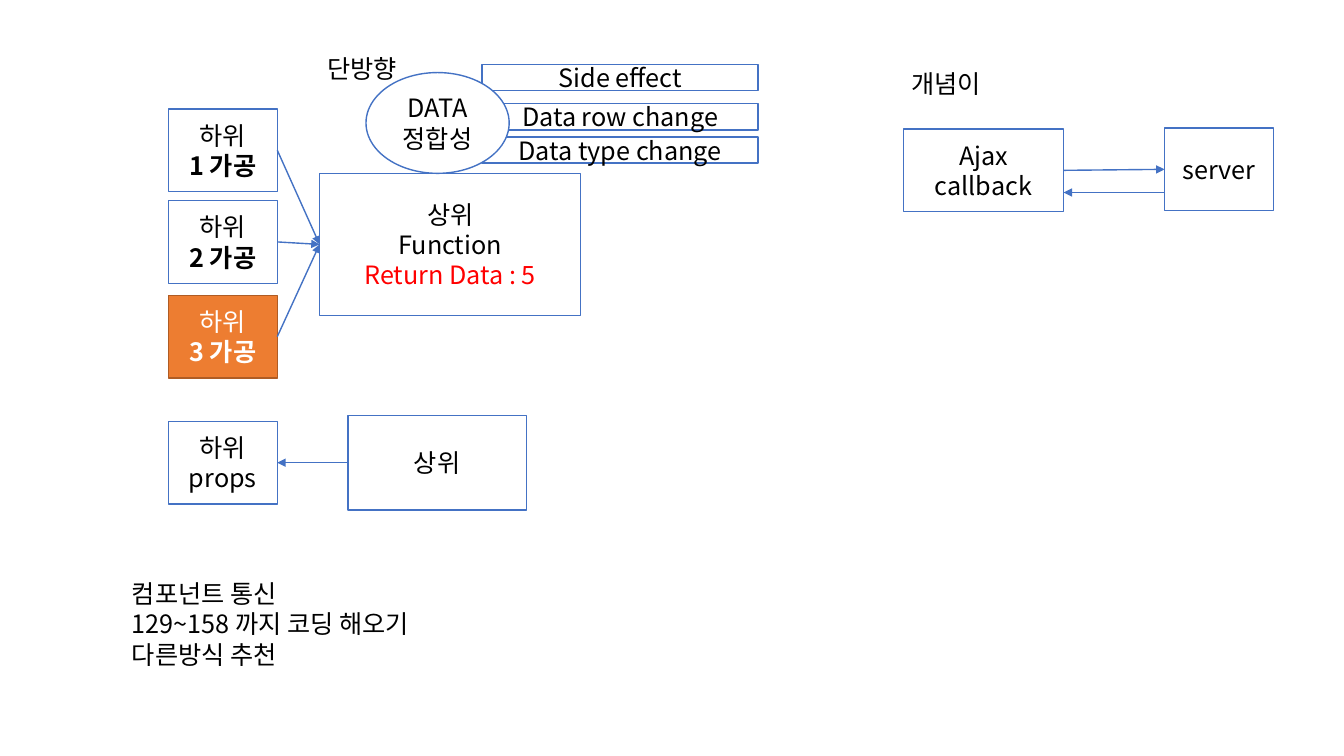
from lxml import etree
from pptx import Presentation
from pptx.dml.color import RGBColor
from pptx.enum.shapes import MSO_CONNECTOR, MSO_SHAPE
from pptx.enum.text import MSO_ANCHOR, MSO_AUTO_SIZE, PP_ALIGN
from pptx.oxml.ns import qn
from pptx.util import Pt

RECT, OVAL = MSO_SHAPE.RECTANGLE, MSO_SHAPE.OVAL
STRAIGHT = MSO_CONNECTOR.STRAIGHT
LEFT, CENTER = PP_ALIGN.LEFT, PP_ALIGN.CENTER
LEFT_SIDE, RIGHT_SIDE = 1, 3

PX = 9144  # 100 px to the inch
FONT = "Noto Sans CJK KR"
COLORS = {"white": "FFFFFF", "black": "000000", "blue": "4472C4",
          "red": "FF0000", "orange": "ED7D31", "brown": "AF5C24"}
BOLD = {"bold": True}
RED = {"color": "red"}

# A line of text is a string, or a string with its own format.
CHILD_X, CHILD_SIZE = 167, (108, 82)
CHILDREN = [  # top, lines, colours
    (108, ["하위", ("1 가공", BOLD)], {}),
    (199, ["하위", ("2 가공", BOLD)], {}),
    (293, ["하위", ("3 가공", BOLD)],
     {"fill": "orange", "line": "brown", "color": "white"}),
]
PROPS_CHILD = ((CHILD_X, 418, *CHILD_SIZE), ["하위", "props"])
PROPS_PARENT = ((345, 412, 177, 94), ["상위"])
FUNCTION_PARENT = ((317, 172, 259, 141),
                   ["상위", "Function", ("Return Data : 5", RED)])
CHANGE_X, CHANGE_SIZE = 478, (274, 26)
CHANGES = [(64, "Side effect"), (103, "Data row change"), (136, "Data type change")]
INTEGRITY = ((363, 72, 142, 100), ["DATA", "정합성"])
AJAX = ((896, 128, 159, 82), ["Ajax", "callback"])
SERVER = ((1155, 127, *CHILD_SIZE), ["server"])
REPLY_Y = 191
NOTES = [
    ((315, 48, 96, 40), ["단방향"]),
    ((894, 63, 96, 40), ["개념이"]),
    ((121, 569, 325, 101),
     ["컴포넌트 통신", "129~158 까지 코딩 해오기", "다른방식 추천"]),
]

prs = Presentation()
prs.slide_width, prs.slide_height = 1333 * PX, 750 * PX
slide = prs.slides.add_slide(prs.slide_layouts[6])


def rgb(name):
    return RGBColor.from_string(COLORS[name])


def emu(*lengths):
    return [length * PX for length in lengths]


def write(frame, lines, color="black", align=CENTER):
    for i, line in enumerate(lines):
        text, own = (line, {}) if isinstance(line, str) else line
        paragraph = frame.paragraphs[0] if i == 0 else frame.add_paragraph()
        paragraph.alignment = align
        run = paragraph.add_run()
        run.text = text
        font = run.font
        font.name, font.size = FONT, Pt(18)
        font.bold = own.get("bold", False)
        font.color.rgb = rgb(own.get("color", color))
        etree.SubElement(font._element, qn("a:ea"), typeface=FONT)


def add_box(place, lines, kind=RECT, fill="white", line="blue", color="black"):
    box = slide.shapes.add_shape(kind, *emu(*place))
    box.shadow.inherit = False
    box.fill.solid()
    box.fill.fore_color.rgb = rgb(fill)
    box.line.color.rgb = rgb(line)
    box.line.width = Pt(1)
    box.text_frame.word_wrap = True
    box.text_frame.vertical_anchor = MSO_ANCHOR.MIDDLE
    write(box.text_frame, lines, color=color)
    return box


def add_note(place, lines):
    frame = slide.shapes.add_textbox(*emu(*place)).text_frame
    frame.word_wrap = False
    frame.auto_size = MSO_AUTO_SIZE.SHAPE_TO_FIT_TEXT
    write(frame, lines, align=LEFT)


def add_arrow(start_x, start_y, end_x, end_y):
    arrow = slide.shapes.add_connector(STRAIGHT, start_x, start_y, end_x, end_y)
    arrow.line.color.rgb = rgb("blue")
    arrow.line.width = Pt(1)
    etree.SubElement(arrow.line._get_or_add_ln(), qn("a:tailEnd"), type="triangle")
    etree.SubElement(arrow._element.spPr, qn("a:effectLst"))
    return arrow


def join(source, source_side, target, target_side):
    arrow = add_arrow(0, 0, 0, 0)
    arrow.begin_connect(source, source_side)
    arrow.end_connect(target, target_side)


ajax = add_box(*AJAX)
server = add_box(*SERVER)
join(ajax, RIGHT_SIDE, server, LEFT_SIDE)
add_arrow(server.left, REPLY_Y * PX, ajax.left + ajax.width, REPLY_Y * PX)

function_parent = add_box(*FUNCTION_PARENT)
for top, lines, colors in CHILDREN:
    child = add_box((CHILD_X, top, *CHILD_SIZE), lines, **colors)
    join(child, RIGHT_SIDE, function_parent, LEFT_SIDE)

props_child = add_box(*PROPS_CHILD)
props_parent = add_box(*PROPS_PARENT)
join(props_parent, LEFT_SIDE, props_child, RIGHT_SIDE)

for top, change in CHANGES:
    add_box((CHANGE_X, top, *CHANGE_SIZE), [change])
add_box(*INTEGRITY, kind=OVAL)

for place, lines in NOTES:
    add_note(place, lines)

prs.save("out.pptx")
